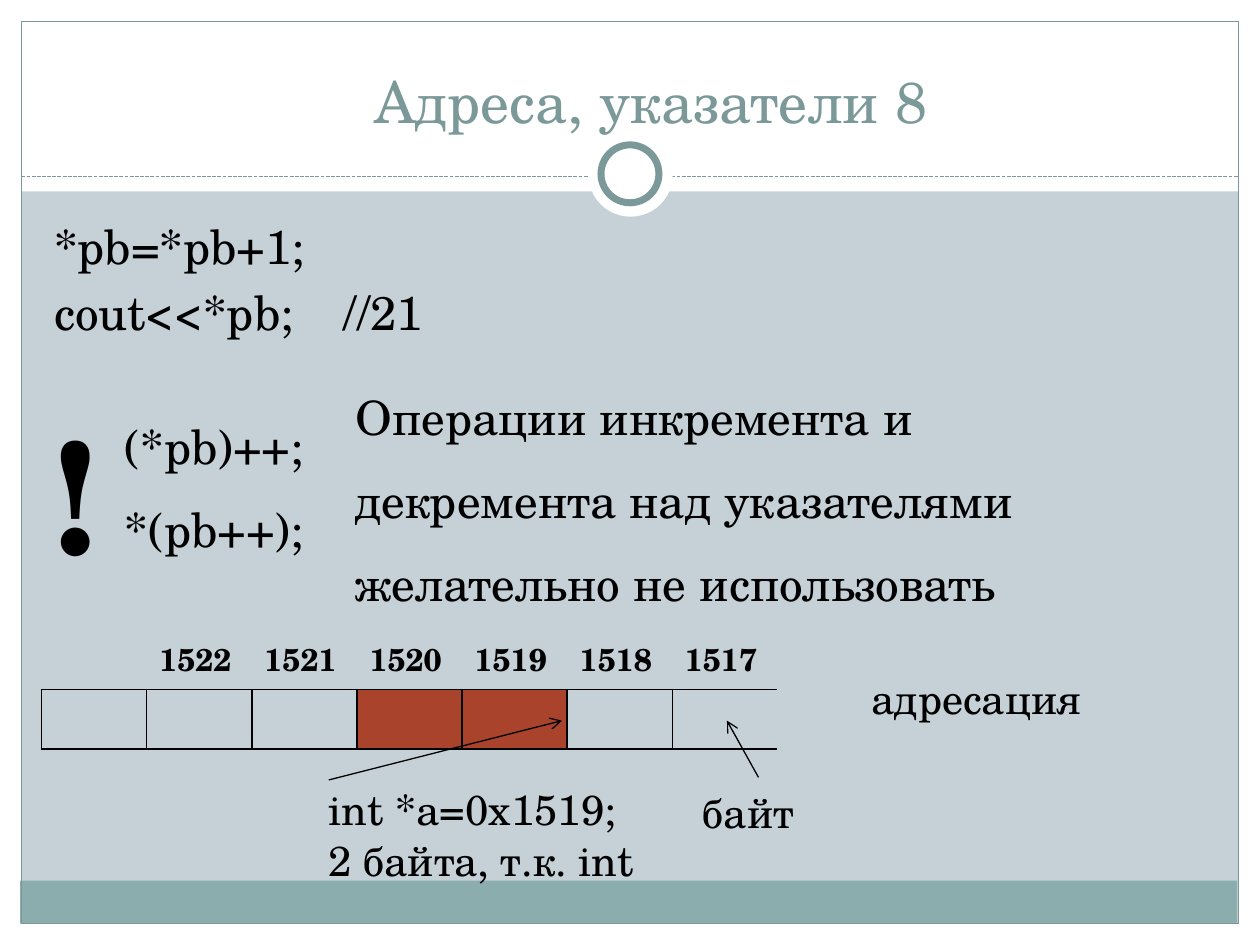
from pptx import Presentation
from pptx.dml.color import RGBColor
from pptx.enum.dml import MSO_LINE
from pptx.enum.shapes import MSO_CONNECTOR, MSO_SHAPE
from pptx.enum.text import MSO_ANCHOR, PP_ALIGN
from pptx.oxml import parse_xml
from pptx.oxml.ns import nsdecls, qn
from pptx.util import Inches, Pt

RECT, OVAL = MSO_SHAPE.RECTANGLE, MSO_SHAPE.OVAL
STRAIGHT, DASH = MSO_CONNECTOR.STRAIGHT, MSO_LINE.SQUARE_DOT
CENTER, LEFT = PP_ALIGN.CENTER, PP_ALIGN.LEFT
TOP, MIDDLE, BOTTOM = MSO_ANCHOR.TOP, MSO_ANCHOR.MIDDLE, MSO_ANCHOR.BOTTOM
FONT = "TeX Gyre Schola"
PLAIN = "{2D5ABB26-0587-4C30-8999-92F81FD0307C}"
BLACK, WHITE, TEAL, RED = "000000", "FFFFFF", "7C999A", "A9432B"

# Content
TITLE = "Адреса, указатели 8"
CODE = ["*pb=*pb+1;", "cout<<*pb;\t//21"]
WARN = [
    # lines, format, anchor, width, bottom margin
    (["!"], {"size": Pt(88), "bold": True}, MIDDLE, 0.58, 0.05),
    (["(*pb)++;", "*(pb++);"], {"size": Pt(27)}, MIDDLE, 1.83, 0.25),
    (["Операции инкремента и декремента над указателями "
      "желательно не использовать"], {"size": Pt(27)}, TOP, 6.72, 0.05),
]
BYTES = ["", "1522", "1521", "1520", "1519", "1518", "1517"]
USED = ["1520", "1519"]
NOTES = [
    (["int *а=0х1519;", "2 байта, т.к. int"], (2.51, 6.17, 2.65, 0.91)),
    (["адресация"], (6.82, 5.29, 2.5, 0.5)),
    (["байт"], (5.48, 6.19, 2.5, 0.5)),
]
ARROWS = [(2.61, 6.19, 4.46, 5.72), (6.02, 6.17, 5.77, 5.72)]
DECOR = [
    # shape, place, fill, line width
    (RECT, (0, 7.33, 10, 0.17), WHITE, 0),
    (RECT, (0, 0, 10, 1.52), WHITE, 0),
    (RECT, (0, 0, 0.17, 7.5), WHITE, 0),
    (RECT, (9.83, 0, 0.17, 7.5), WHITE, 0),
    (RECT, (0.16, 6.99, 9.66, 0.34), "8CADAE", 0),
    (RECT, (0.17, 0.17, 9.66, 7.16), None, 0.75),
]
RING = [
    (OVAL, (4.67, 1.05, 0.67, 0.67), WHITE, 0),
    (OVAL, (4.77, 1.15, 0.46, 0.46), WHITE, 4),
]

prs = Presentation()
prs.slide_width, prs.slide_height = Inches(10), Inches(7.5)
slide = prs.slides.add_slide(prs.slide_layouts[1])
shapes = slide.shapes


def rgb(hue):
    return RGBColor.from_string(hue)


def paint(fill, hue):
    if hue:
        fill.solid()
        fill.fore_color.rgb = rgb(hue)
    else:
        fill.background()


def write(frame, lines, look, align=LEFT, space=None):
    frame.word_wrap = True
    for i, line in enumerate(lines):
        para = frame.paragraphs[0] if i == 0 else frame.add_paragraph()
        para.alignment = align
        para.line_spacing = space
        run = para.add_run()
        run.text = line
        for key, value in {"name": FONT, "bold": False, **look}.items():
            setattr(run.font, key, value)
        run.font.color.rgb = rgb(look_hue(frame))


def look_hue(frame):
    return TEAL if frame is head else BLACK


def draw(kind, place, hue, width):
    shape = shapes.add_shape(kind, *map(Inches, place))
    shape.shadow.inherit = False
    paint(shape.fill, hue)
    if width:
        shape.line.color.rgb, shape.line.width = rgb(TEAL), Pt(width)
    else:
        shape.line.fill.background()


def link(ends, hue):
    line = shapes.add_connector(STRAIGHT, *map(Inches, ends))
    line.line.color.rgb, line.line.width = rgb(hue), Pt(0.75)
    line._element.spPr.append(parse_xml(f"<a:effectLst {nsdecls('a')}/>"))
    return line


def grid(place, widths, heights):
    table = shapes.add_table(len(heights), len(widths), *map(Inches, place)).table
    table.first_row = table.horz_banding = False
    table._tbl.tblPr.find(qn("a:tableStyleId")).text = PLAIN
    for col, width in zip(table.columns, widths):
        col.width = Inches(width)
    for row, height in zip(table.rows, heights):
        row.height = Inches(height)
    for cell in table.iter_cells():
        paint(cell.fill, None)
    return table


def border(cell, sides):
    for i, side in enumerate(sides):
        cell._tc.get_or_add_tcPr().insert(i, parse_xml(
            f'<a:ln{side} {nsdecls("a")} w="12700"><a:solidFill>'
            f'<a:srgbClr val="{BLACK}"/></a:solidFill></a:ln{side}>'))


# Frame, header rule and ring
paint(slide.background.fill, "C5D1D7")
for item in DECOR:
    draw(*item)
link((0.17, 1.4, 9.83, 1.4), TEAL).line.dash_style = DASH
for item in RING:
    draw(*item)

# Title and code, in front of the frame
title, body = shapes.title, slide.placeholders[1]
for holder, place in ((title, (0.5, 0.29, 9.33, 0.83)),
                      (body, (0.33, 1.67, 9.3, 5.7))):
    holder.left, holder.top, holder.width, holder.height = map(Inches, place)
    shapes._spTree.append(holder._element)
head = title.text_frame
head.vertical_anchor = BOTTOM
write(head, [TITLE], {"size": Pt(33)}, CENTER)
write(body.text_frame, CODE, {"size": Pt(27)})
for i, para in enumerate(body.text_frame.paragraphs):
    para.space_before = Pt(5.4 * i)
    props = para._p.get_or_add_pPr()
    props.set("marL", str(Inches(0.3)))
    props.set("indent", str(-Inches(0.3)))
    props.append(parse_xml(f"<a:buNone {nsdecls('a')}/>"))
    props.append(parse_xml(f'<a:tabLst {nsdecls("a")}><a:tab '
                           f'pos="{Inches(2.28)}" algn="l"/></a:tabLst>'))

# Row of bytes with addresses
table = grid((0.33, 4.91, 5.84, 0.96), [5.84 / len(BYTES)] * len(BYTES), [0.49, 0.47])
for i, name in enumerate(BYTES):
    if name:
        write(table.cell(0, i).text_frame, [name],
              {"size": Pt(18), "bold": True}, space=1.2)
    border(table.cell(0, i), "B")
    box = table.cell(1, i)
    paint(box.fill, RED if name in USED else None)
    border(box, "LTB" if name == BYTES[-1] else "LRTB")

# Warning about increments
table = grid((0.31, 2.87, 9.13, 1.61), [item[3] for item in WARN], [1.61])
for cell, (lines, look, anchor, _, low) in zip(table.iter_cells(), WARN):
    cell.vertical_anchor = anchor
    cell.margin_bottom = Inches(low)
    mark = lines == ["!"]
    if mark:
        cell.margin_left = cell.margin_right = 0
    write(cell.text_frame, lines, look, CENTER if mark else LEFT,
          None if mark else 1.2)

# Notes and arrows
for lines, place in NOTES:
    note = shapes.add_textbox(*map(Inches, place))
    write(note.text_frame, lines, {"size": Pt(24)})
for ends in ARROWS:
    link(ends, BLACK).line._get_or_add_ln().append(
        parse_xml(f'<a:tailEnd {nsdecls("a")} type="arrow"/>'))

prs.save("out.pptx")
